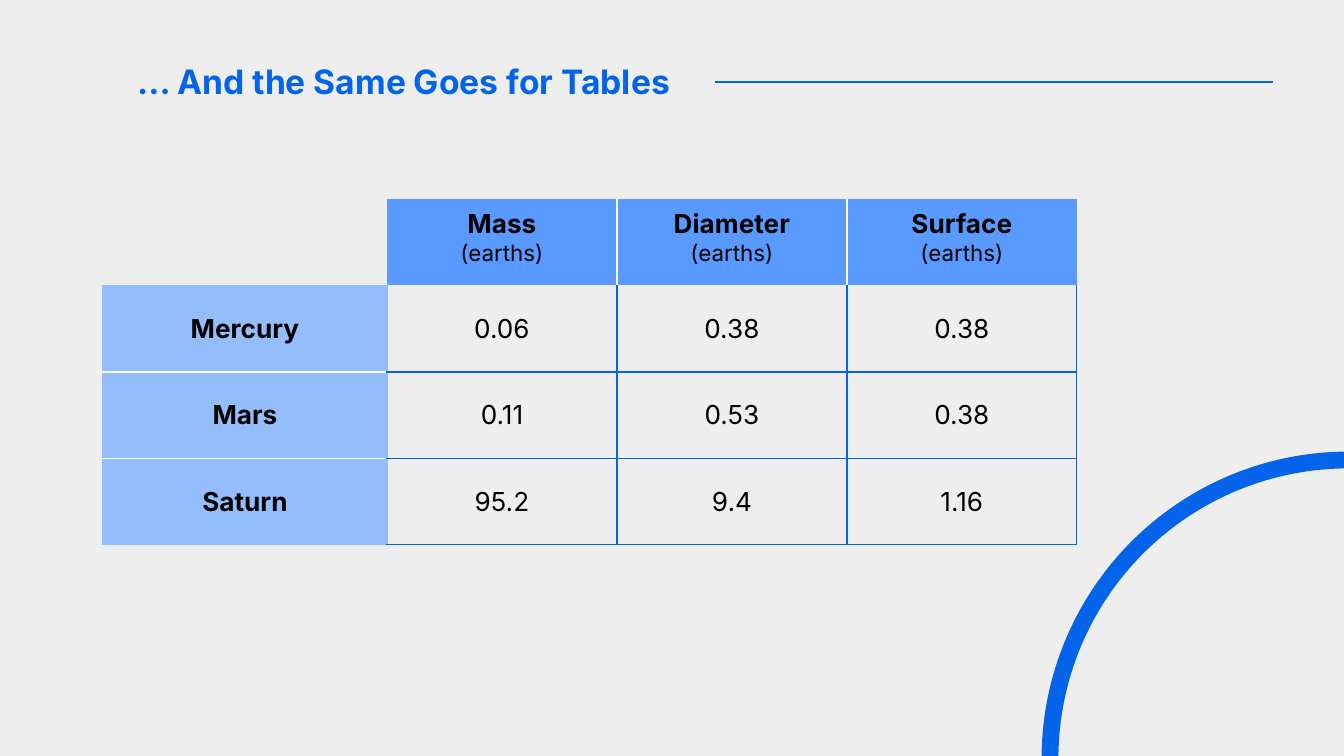
"""Build a slide with a planet comparison table."""
from dataclasses import dataclass

from lxml.etree import SubElement
from pptx import Presentation
from pptx.dml.color import RGBColor
from pptx.enum.shapes import MSO_CONNECTOR as Connector, MSO_SHAPE as Shape
from pptx.enum.text import MSO_ANCHOR as Anchor, MSO_AUTO_SIZE as AutoSize, PP_ALIGN as Align
from pptx.oxml.ns import qn
from pptx.util import Emu, Pt

TITLE = "… And the Same Goes for Tables"
MEASURES = ["Mass", "Diameter", "Surface"]
UNIT = "(earths)"
PLANETS = [
    ("Mercury", "0.06", "0.38", "0.38"),
    ("Mars", "0.11", "0.53", "0.38"),
    ("Saturn", "95.2", "9.4", "1.16"),
]
SLIDE = (1344, 756)
TITLE_BOX = (103, 38, 612, 87)
TITLE_INSET = 34
RULE = (715, 82, 1273, 82)
ARC_BOX = (1050, 460, 597, 597)
ARC_ANGLES = (180, 18)
TABLE_BOX = (103, 199, 974, 346)
COLUMNS = (284, 230, 230, 230)
CELL_INSETS = (13, 9)
PLAIN_STYLE = "{2D5ABB26-0587-4C30-8999-92F81FD0307C}"


@dataclass(frozen=True)
class Theme:
    font: str = "Inter"
    paper: str = "EEEEEE"
    ink: str = "000000"
    blue: str = "0363EB"
    header: str = "589AFF"
    pale: str = "94BDFC"
    white: str = "FFFFFF"
    cream: str = "FFFAEA"
    title_size: int = 18
    body_size: int = 14
    unit_size: int = 12
    hairline: float = 0.75
    arc_width: int = 9


THEME = Theme()
NAME_RULES = (THEME.pale, THEME.cream, THEME.white, THEME.pale)


def px(length):
    return Emu(round(length * 914400 / 134.4))


def scaled(lengths):
    return [px(length) for length in lengths]


def paint(fill, colour):
    fill.solid()
    fill.fore_color.rgb = RGBColor.from_string(colour)


def draw_line(line, colour, width):
    paint(line.fill, colour)
    line.width = Pt(width)


def add_span(para, text, size, colour, bold=False):
    span = para.add_run()
    span.text = text
    span.font.name = THEME.font
    span.font.size = Pt(size)
    span.font.bold = bold
    span.font.color.rgb = RGBColor.from_string(colour)


def add_title(page):
    box = page.shapes.title
    box.left, box.top, box.width, box.height = scaled(TITLE_BOX)
    frame = box.text_frame
    frame.word_wrap = True
    frame.auto_size = AutoSize.NONE
    frame.vertical_anchor = Anchor.MIDDLE
    frame.margin_left = frame.margin_right = px(TITLE_INSET)
    frame.margin_top = frame.margin_bottom = px(TITLE_INSET)
    para = frame.paragraphs[0]
    para.alignment = Align.LEFT
    add_span(para, TITLE, THEME.title_size, THEME.blue, True)


def add_arc(page):
    arc = page.shapes.add_shape(Shape.ARC, *scaled(ARC_BOX))
    for index, angle in enumerate(ARC_ANGLES):
        arc.adjustments[index] = angle * 0.6
    arc.shadow.inherit = False
    arc.fill.background()
    draw_line(arc.line, THEME.blue, THEME.arc_width)


def add_rule(page):
    rule = page.shapes.add_connector(Connector.STRAIGHT, *scaled(RULE))
    draw_line(rule.line, THEME.blue, THEME.hairline)
    SubElement(rule.element.spPr, qn("a:effectLst"))


def cell_style(row, column):
    """Return the fill and the left, right, top and bottom border colours."""
    if row == 0 and column == 0:
        return None, (None, None, None, THEME.pale)
    if row == 0:
        left = THEME.white if column > 1 else None
        right = THEME.white if column < len(MEASURES) else None
        return THEME.header, (left, right, None, None)
    if column == 0:
        return THEME.pale, (THEME.pale, THEME.pale, NAME_RULES[row - 1], NAME_RULES[row])
    left = THEME.pale if column == 1 else THEME.blue
    top = THEME.blue if row > 1 else None
    return None, (left, THEME.blue, top, THEME.blue)


def style_cell(cell, row, column):
    fill, borders = cell_style(row, column)
    properties = cell._tc.get_or_add_tcPr()
    for side, colour in zip("LRTB", borders):
        if colour:
            edge = SubElement(properties, qn(f"a:ln{side}"), w=str(Pt(THEME.hairline)))
            SubElement(SubElement(edge, qn("a:solidFill")), qn("a:srgbClr"), val=colour)
    if fill:
        paint(cell.fill, fill)
    else:
        cell.fill.background()
    across, down = scaled(CELL_INSETS)
    cell.margin_left = cell.margin_right = across
    cell.margin_top = cell.margin_bottom = down
    cell.vertical_anchor = Anchor.MIDDLE if row else Anchor.TOP


def fill_cell(cell, lines):
    frame = cell.text_frame
    for index, (text, size, bold) in enumerate(lines):
        para = frame.add_paragraph() if index else frame.paragraphs[0]
        para.alignment = Align.CENTER
        add_span(para, text, size, THEME.ink, bold)


def add_planet_table(page):
    headers = [[(name, THEME.body_size, True), (UNIT, THEME.unit_size, False)] for name in MEASURES]
    grid = [[[], *headers]]
    for planet in PLANETS:
        grid.append([[(text, THEME.body_size, column == 0)] for column, text in enumerate(planet)])
    holder = page.shapes.add_table(len(grid), len(COLUMNS), *scaled(TABLE_BOX))
    table = holder.table
    table.first_row = table.horz_banding = False
    next(holder.element.iter(qn("a:tableStyleId"))).text = PLAIN_STYLE
    for column, width in zip(table.columns, COLUMNS):
        column.width = px(width)
    for row, entries in enumerate(grid):
        table.rows[row].height = px(TABLE_BOX[3] / len(grid))
        for column, lines in enumerate(entries):
            cell = table.cell(row, column)
            style_cell(cell, row, column)
            fill_cell(cell, lines)


def main():
    deck = Presentation()
    deck.slide_width, deck.slide_height = scaled(SLIDE)
    page = deck.slides.add_slide(deck.slide_layouts[5])
    paint(page.background.fill, THEME.paper)
    add_arc(page)
    add_title(page)
    add_planet_table(page)
    add_rule(page)
    deck.save("out.pptx")


if __name__ == "__main__":
    main()
